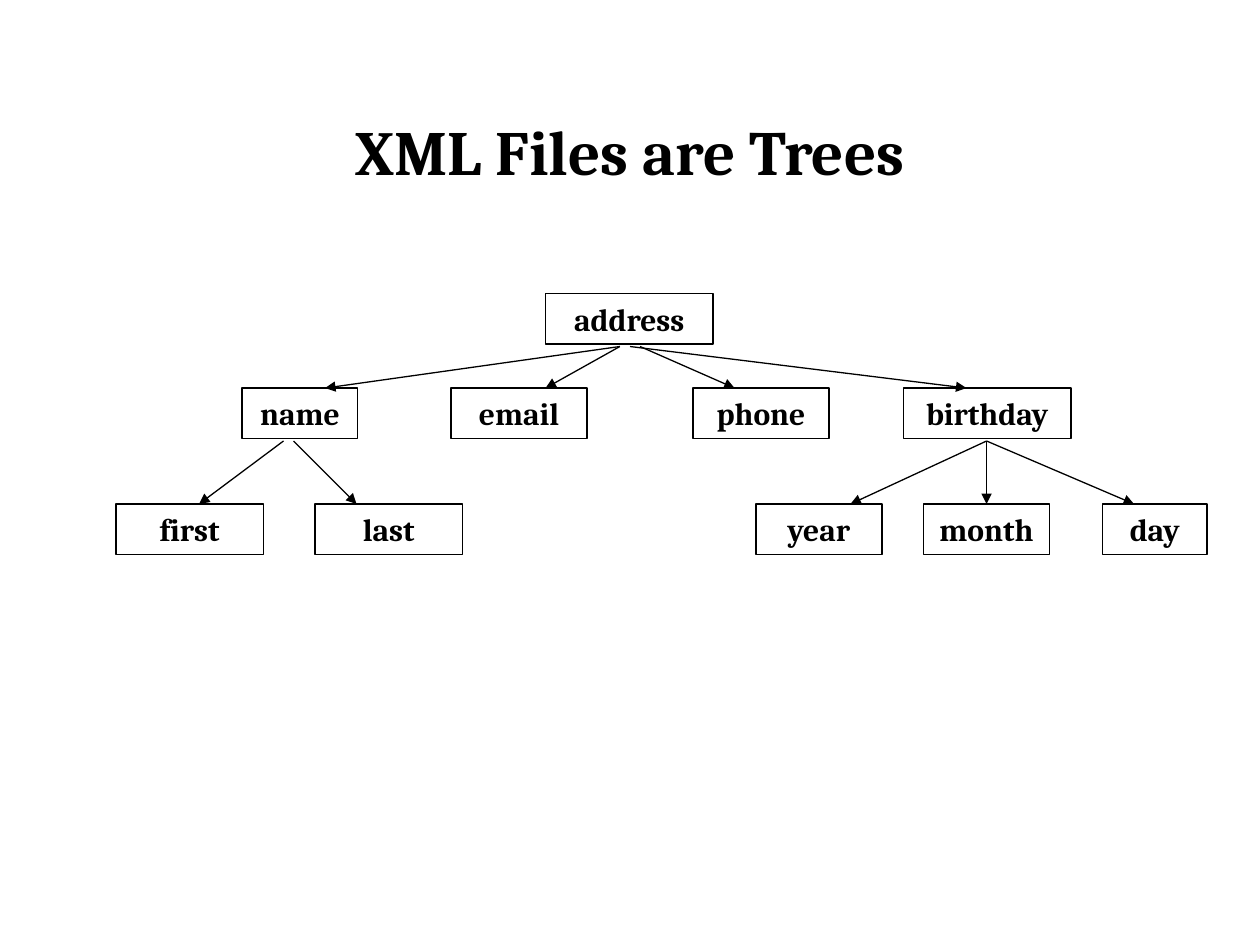
from lxml import etree
from pptx import Presentation
from pptx.dml.color import RGBColor
from pptx.enum import shapes, text
from pptx.oxml import ns
from pptx.util import Inches, Pt

BLACK = RGBColor(0, 0, 0)
FONT = "Cambria"
BOX_HEIGHT = 0.4
LINE_WIDTH = Pt(0.75)

TITLE = "XML Files are Trees"

# Each level: top, then (label, left, width) of its nodes
LEVELS = [
    (2.33, [("address", 4.33, 1.33)]),
    (3.08, [("name", 1.92, 0.92), ("email", 3.58, 1.08),
            ("phone", 5.5, 1.08), ("birthday", 7.17, 1.33)]),
    (4, [("first", 0.92, 1.17), ("last", 2.5, 1.17), ("year", 6, 1),
         ("month", 7.33, 1), ("day", 8.75, 0.83)]),
]

# Each set of branches: start y, end y, then (start x, end x) of its arrows
BRANCHES = [
    (2.75, 3.08, [(4.92, 2.58), (4.92, 4.33), (5.08, 5.83), (5, 7.67)]),
    (3.5, 4, [(2.25, 1.58), (2.33, 2.83),
              (7.83, 6.75), (7.83, 7.83), (7.83, 9)]),
]


def write(shape, words, size):
    frame = shape.text_frame
    frame.word_wrap = True
    frame.vertical_anchor = text.MSO_ANCHOR.MIDDLE
    paragraph = frame.paragraphs[0]
    paragraph.text = words
    paragraph.alignment = text.PP_ALIGN.CENTER
    font = paragraph.font
    font.name, font.size, font.bold = FONT, Pt(size), True
    font.color.rgb = BLACK


def add_node(slide, label, left, top, width):
    node = slide.shapes.add_shape(
        shapes.MSO_SHAPE.RECTANGLE,
        Inches(left), Inches(top), Inches(width), Inches(BOX_HEIGHT))
    node.shadow.inherit = False
    node.fill.background()
    node.line.color.rgb = BLACK
    node.line.width = LINE_WIDTH
    write(node, label, 18)
    node.text_frame.auto_size = text.MSO_AUTO_SIZE.SHAPE_TO_FIT_TEXT


def add_branch(slide, x1, y1, x2, y2):
    branch = slide.shapes.add_connector(
        shapes.MSO_CONNECTOR.STRAIGHT,
        Inches(x1), Inches(y1), Inches(x2), Inches(y2))
    branch.line.color.rgb = BLACK
    branch.line.width = LINE_WIDTH
    # Arrowhead at the child, no shadow
    etree.SubElement(branch.line._get_or_add_ln(), ns.qn("a:tailEnd"),
                     type="triangle")
    etree.SubElement(branch._element.spPr, ns.qn("a:effectLst"))


def main():
    prs = Presentation()
    prs.slide_width, prs.slide_height = Inches(10), Inches(7.5)
    slide = prs.slides.add_slide(prs.slide_layouts[6])

    # Title
    title = slide.shapes.add_textbox(
        Inches(0.5), Inches(0.83), Inches(9), Inches(0.72))
    write(title, TITLE, 36)

    # Tree nodes
    for top, nodes in LEVELS:
        for label, left, width in nodes:
            add_node(slide, label, left, top, width)

    # Arrows from parent to child
    for start_y, end_y, arrows in BRANCHES:
        for start_x, end_x in arrows:
            add_branch(slide, start_x, start_y, end_x, end_y)

    prs.save("out.pptx")


if __name__ == "__main__":
    main()
